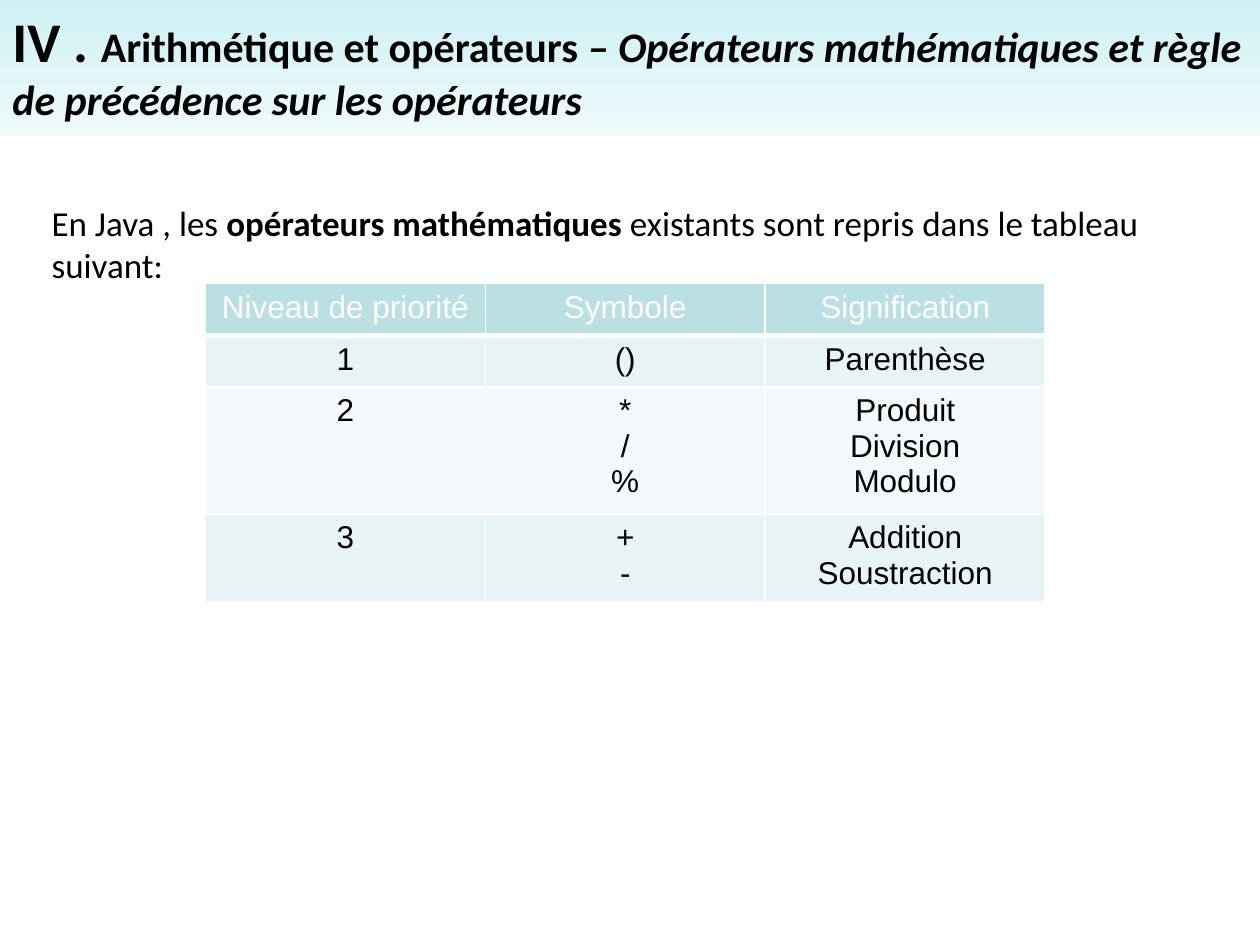
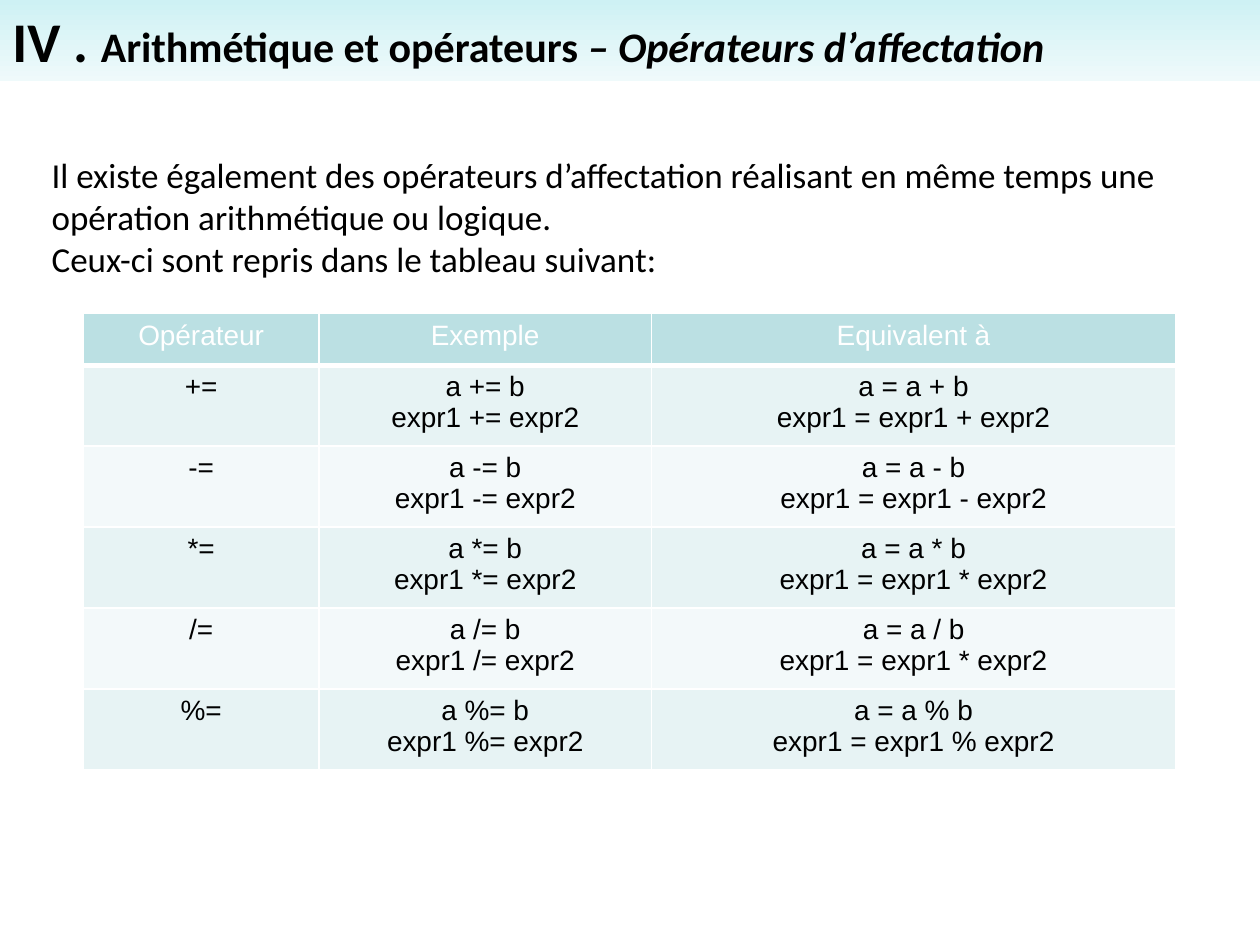
import pptx
import pptx.dml.color
import pptx.enum.text
import pptx.oxml
import pptx.oxml.ns
import pptx.util
from lxml import etree

Cm = pptx.util.Cm
Pt = pptx.util.Pt
RGBColor = pptx.dml.color.RGBColor
PP_ALIGN = pptx.enum.text.PP_ALIGN

BLACK = RGBColor(0x00, 0x00, 0x00)
WHITE = RGBColor(0xFF, 0xFF, 0xFF)
BAND_TOP = RGBColor(0xCE, 0xF1, 0xF4)
BAND_BOTTOM = RGBColor(0xEF, 0xFA, 0xFB)
HEADER_FILL = RGBColor(0xBB, 0xE0, 0xE3)
ROW_FILLS = (RGBColor(0xE7, 0xF3, 0xF4), RGBColor(0xF3, 0xF9, 0xFA))

SLIDE_WIDTH, SLIDE_HEIGHT = 25.4, 19.05
CHAPTER_RUNS = (("IV . ", {"size": Pt(32)}), ("Arithmétique et opérateurs ", {}))
TITLE_FONT = {"name": "Calibri", "size": Pt(24), "bold": True}
BODY_FONT = {"name": "Calibri", "size": Pt(20)}
TEXT_FRAME = {
    "margin_left": Cm(0.25), "margin_right": Cm(0.25),
    "margin_top": Cm(0.13), "margin_bottom": Cm(0.13),
    "word_wrap": True,
    "auto_size": pptx.enum.text.MSO_AUTO_SIZE.NONE,
    "vertical_anchor": pptx.enum.text.MSO_ANCHOR.TOP,
}
PARAGRAPH = {"alignment": PP_ALIGN.LEFT, "space_before": Pt(0)}


def apply_format(target, values):
    for name, value in values.items():
        setattr(target, name, value)


def place(shape, box):
    apply_format(shape, dict(zip(("left", "top", "width", "height"), map(Cm, box))))


def add_runs(paragraph, runs, font):
    for text, changes in runs:
        run = paragraph.add_run()
        run.text = text
        apply_format(run.font, {**font, **changes})
        run.font.color.rgb = BLACK


def fill_title(slide, box, subtitle):
    title = slide.shapes.title
    place(title, box)
    title.fill.gradient()
    title.fill.gradient_angle = 270
    for stop, colour in zip(title.fill.gradient_stops, (BAND_TOP, BAND_BOTTOM)):
        stop.color.rgb = colour
    apply_format(title.text_frame, TEXT_FRAME)
    paragraph = title.text_frame.paragraphs[0]
    apply_format(paragraph, PARAGRAPH)
    add_runs(paragraph, CHAPTER_RUNS + ((subtitle, {"italic": True}),), TITLE_FONT)


def fill_body(slide, box, paragraphs):
    body = slide.placeholders[1]
    place(body, box)
    frame = body.text_frame
    apply_format(frame, TEXT_FRAME)
    for index, runs in enumerate(paragraphs):
        paragraph = frame.add_paragraph() if index else frame.paragraphs[0]
        properties = paragraph._p.get_or_add_pPr()
        properties.set("marL", "0")
        properties.set("indent", "0")
        etree.SubElement(properties, pptx.oxml.ns.qn("a:buNone"))
        apply_format(paragraph, PARAGRAPH)
        add_runs(paragraph, runs, BODY_FONT)


def add_borders(cell, bottom):
    properties = cell._tc.get_or_add_tcPr()
    for side, width in (("L", 1), ("R", 1), ("T", 1), ("B", bottom)):
        properties.append(pptx.oxml.parse_xml(
            f'<a:ln{side} {pptx.oxml.ns.nsdecls("a")} w="{Pt(width)}">'
            f'<a:solidFill><a:srgbClr val="{WHITE}"/></a:solidFill></a:ln{side}>'))


def format_cell(cell, text, font_size, is_header, fill):
    cell.text_frame.text = text
    for paragraph in cell.text_frame.paragraphs:
        paragraph.alignment = PP_ALIGN.CENTER
        for run in paragraph.runs:
            apply_format(run.font, {"name": "Arial", "size": font_size, "bold": False})
            run.font.color.rgb = WHITE if is_header else BLACK
    add_borders(cell, 3 if is_header else 1)
    cell.fill.solid()
    cell.fill.fore_color.rgb = fill


def add_operator_table(slide, box, rows, column_shares, row_shares, font_size):
    frame = slide.shapes.add_table(len(rows), len(rows[0]), *map(Cm, box))
    table = frame.table
    for column, share in zip(table.columns, column_shares):
        column.width = Cm(box[2] * share / sum(column_shares))
    for row, share in zip(table.rows, row_shares):
        row.height = Cm(box[3] * share / sum(row_shares))
    for row_index, texts in enumerate(rows):
        is_header = row_index == 0
        fill = HEADER_FILL if is_header else ROW_FILLS[(row_index - 1) % 2]
        for column_index, text in enumerate(texts):
            format_cell(table.cell(row_index, column_index), text, font_size, is_header, fill)


def add_content_slide(presentation, title_height, subtitle, body_box, paragraphs, table):
    slide = presentation.slides.add_slide(presentation.slide_layouts[1])
    fill_title(slide, (0, 0, SLIDE_WIDTH, title_height), subtitle)
    fill_body(slide, body_box, paragraphs)
    add_operator_table(slide, **table)


def add_mathematical_operators(presentation):
    add_content_slide(
        presentation, 2.74,
        "– Opérateurs mathématiques et règle de précédence sur les opérateurs",
        (0.79, 3.94, 23.62, 11.38),
        [[("En Java , les ", {}),
          ("opérateurs mathématiques ", {"bold": True}),
          ("existants sont repris dans le tableau suivant:", {})]],
        {
            "box": (4.14, 5.72, 16.93, 6.42),
            "rows": [
                ("Niveau de priorité", "Symbole", "Signification"),
                ("1", "()", "Parenthèse"),
                ("2", "*\n/\n%", "Produit\nDivision\nModulo"),
                ("3", "+\n-", "Addition\nSoustraction"),
            ],
            "column_shares": (1, 1, 1),
            "row_shares": (0.41, 0.41, 1.01, 0.7),
            "font_size": Pt(18),
        })


def add_assignment_operators(presentation):
    rows = [("Opérateur", "Exemple", "Equivalent à")]
    for symbol, expression_symbol in zip("+-*/%", "+-**%"):
        rows.append((
            f"{symbol}=",
            f"a {symbol}= b\nexpr1 {symbol}= expr2",
            f"a = a {symbol} b\nexpr1 = expr1 {expression_symbol} expr2"))
    add_content_slide(
        presentation, 1.63, "– Opérateurs d’affectation",
        (0.79, 2.97, 23.62, 2.82),
        [[("Il existe également des opérateurs d’affectation réalisant en même temps "
           "une opération arithmétique ou logique.", {})],
         [("Ceux-ci sont repris dans le tableau suivant:", {})]],
        {
            "box": (1.68, 6.32, 22.02, 9.2),
            "rows": rows,
            "column_shares": (1.87, 2.64, 4.16),
            "row_shares": (0.41,) + (0.64,) * 5,
            "font_size": Pt(16),
        })


def main():
    presentation = pptx.Presentation()
    apply_format(presentation, {"slide_width": Cm(SLIDE_WIDTH), "slide_height": Cm(SLIDE_HEIGHT)})
    add_mathematical_operators(presentation)
    add_assignment_operators(presentation)
    presentation.save("out.pptx")


if __name__ == "__main__":
    main()
